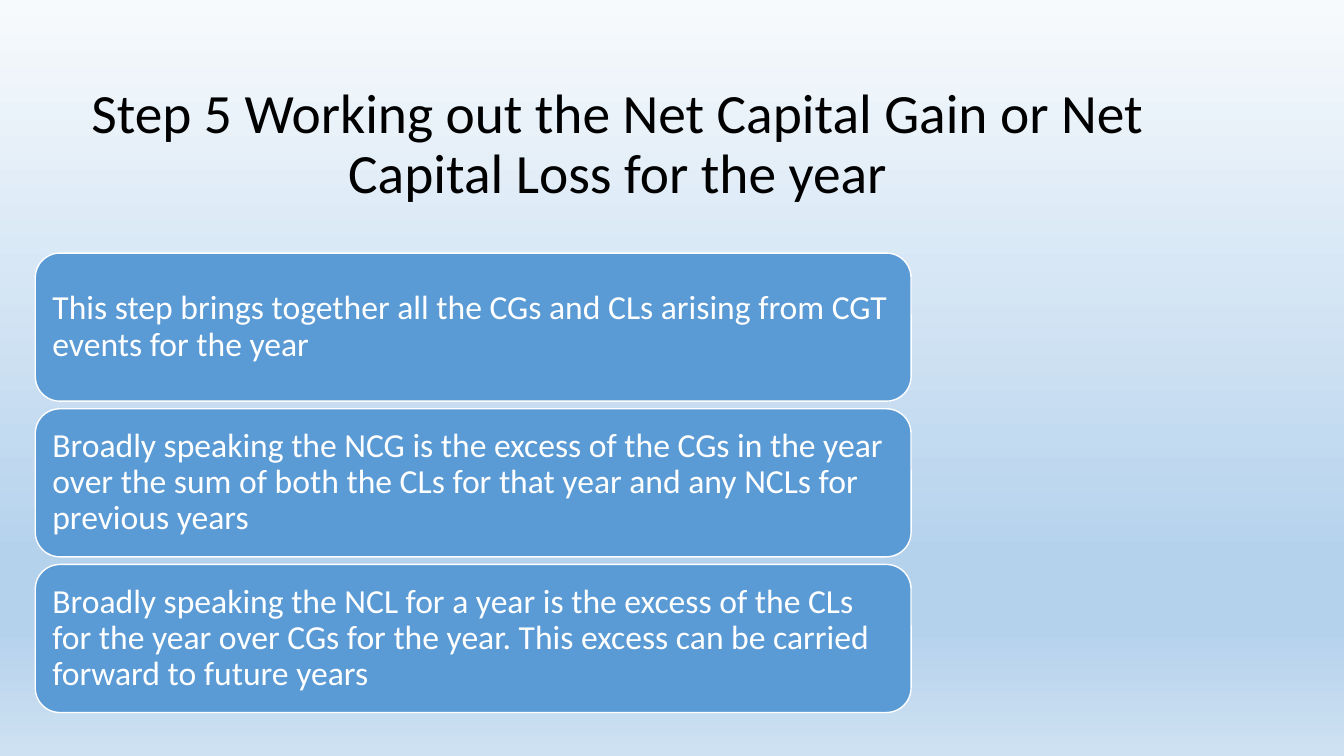
from dataclasses import dataclass

from lxml import etree
from pptx import Presentation
from pptx.dml.color import RGBColor
from pptx.enum import shapes, text
from pptx.oxml import ns
from pptx.util import Pt


@dataclass(frozen=True)
class Theme:
    """Colours and type sizes of the slide."""
    font: str = "Calibri"
    title_size: float = 39.6
    step_size: float = 24
    title_color: str = "000000"
    step_color: str = "FFFFFF"
    box_fill: str = "5B9BD5"
    box_line: str = "FFFFFF"
    backdrop: tuple = ((0, "F7FAFD"), (74, "B5D2EC"), (83, "B5D2EC"), (100, "CEE1F2"))


def apply(target, values):
    """Set each attribute of target from a dict of values."""
    for attribute, value in values.items():
        setattr(target, attribute, value)


class SlideBuilder:
    """Draws elements on the current slide in the theme's style."""

    def __init__(self, slide, theme):
        """Keep the slide and its theme."""
        self.slide, self.theme = slide, theme

    def background(self):
        """Fill the background with the vertical gradient."""
        fill = self.slide.background.fill
        fill.gradient()
        fill.gradient_angle = 270
        stops = self.slide.element.find(".//" + ns.qn("a:gsLst"))
        for stop in list(stops):
            stops.remove(stop)
        for percent, color in self.theme.backdrop:
            stop = etree.SubElement(stops, ns.qn("a:gs"), pos=str(percent * 1000))
            etree.SubElement(stop, ns.qn("a:srgbClr"), val=color)

    def paragraph(self, frame, words, size, color, align, margins):
        """Put one formatted paragraph in a text frame."""
        apply(frame, {"word_wrap": True, "auto_size": text.MSO_AUTO_SIZE.NONE,
                      "vertical_anchor": text.MSO_ANCHOR.MIDDLE, **margins})
        paragraph = frame.paragraphs[0]
        apply(paragraph, {"alignment": align, "line_spacing": 0.9})
        run = paragraph.add_run()
        run.text = words
        apply(run.font, {"name": self.theme.font, "size": Pt(size)})
        run.font.color.rgb = RGBColor.from_string(color)

    def title(self, words, left, top, width, height):
        """Place and fill the title placeholder."""
        title = self.slide.shapes.title
        apply(title, {"left": Pt(left), "top": Pt(top),
                      "width": Pt(width), "height": Pt(height)})
        self.paragraph(title.text_frame, words, self.theme.title_size,
                       self.theme.title_color, text.PP_ALIGN.CENTER, {})

    def box(self, words, left, top, width, height):
        """Add a rounded box with left-aligned text."""
        box = self.slide.shapes.add_shape(
            shapes.MSO_SHAPE.ROUNDED_RECTANGLE, Pt(left), Pt(top), Pt(width), Pt(height))
        box.shadow.inherit = False
        box.fill.solid()
        box.fill.fore_color.rgb = RGBColor.from_string(self.theme.box_fill)
        box.line.color.rgb = RGBColor.from_string(self.theme.box_line)
        box.line.width = Pt(1)
        margins = {f"margin_{side}": Pt(7.2) for side in ("left", "top", "right", "bottom")}
        self.paragraph(box.text_frame, words, self.theme.step_size,
                       self.theme.step_color, text.PP_ALIGN.LEFT, margins)


STATEMENTS = (
    "This step brings together all the CGs and CLs arising from CGT events for the year",
    "Broadly speaking the NCG is the excess of the CGs in the year over the sum of both "
    "the CLs for that year and any NCLs for previous years",
    "Broadly speaking the NCL for a year is the excess of the CLs for the year over CGs "
    "for the year. This excess can be carried forward to future years",
)
FIRST_TOP, BOX_HEIGHT, GAP = 180.8, 105.8, 5.4


def main():
    """Build and save the slide."""
    deck = Presentation()
    apply(deck, {"slide_width": Pt(960), "slide_height": Pt(540)})
    builder = SlideBuilder(deck.slides.add_slide(deck.slide_layouts[5]), Theme())
    builder.background()
    builder.title("Step 5 Working out the Net Capital Gain or Net Capital Loss for the year",
                  16.6, 54.7, 849, 98)
    for row, statement in enumerate(STATEMENTS):
        builder.box(statement, 25.2, FIRST_TOP + row * (BOX_HEIGHT + GAP), 625.6, BOX_HEIGHT)
    deck.save("out.pptx")


main()
